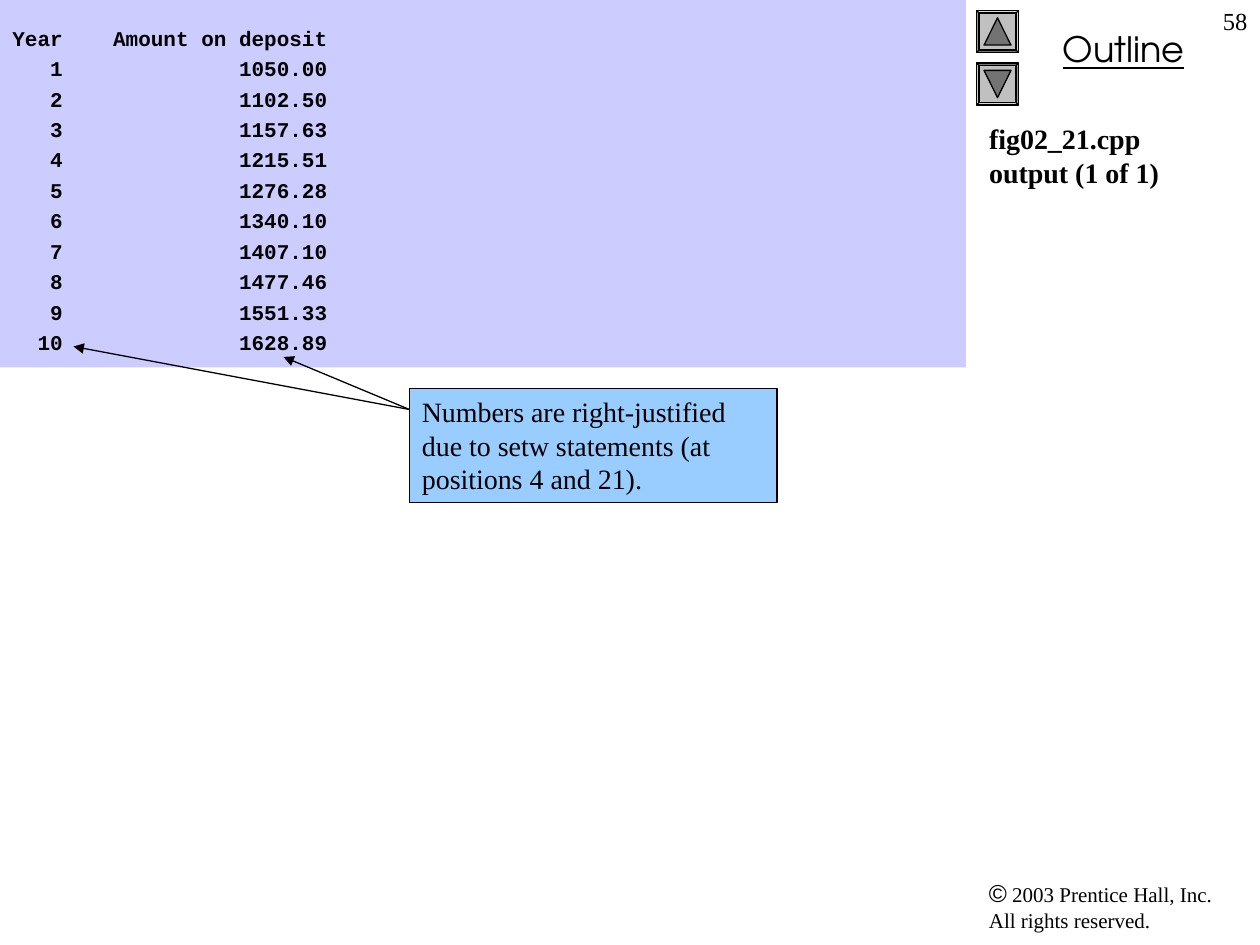
"""Build the program output slide with its outline column."""
from dataclasses import dataclass

from lxml import etree
from pptx import Presentation
from pptx.dml.color import RGBColor
from pptx.enum import shapes, text
from pptx.oxml import ns
from pptx.util import Pt

SERIF = "Times New Roman"
LEFT, CENTER, RIGHT = text.PP_ALIGN.LEFT, text.PP_ALIGN.CENTER, text.PP_ALIGN.RIGHT


@dataclass
class Box:
    x: float
    y: float
    w: float
    h: float

    def lengths(self) -> tuple:
        return Pt(self.x), Pt(self.y), Pt(self.w), Pt(self.h)


@dataclass
class Style:
    size: float
    name: str = SERIF
    bold: bool = False
    underline: bool = False
    align: int = LEFT
    before: float = 0
    inset: float = 3.6


@dataclass
class Button:
    y: float
    bevel_turn: int
    arrow_turn: int


@dataclass
class Point:
    x: float
    y: float


DEPOSITS = ["1050.00", "1102.50", "1157.63", "1215.51", "1276.28",
            "1340.10", "1407.10", "1477.46", "1551.33", "1628.89"]
BUTTONS = [Button(6, 90, 0), Button(36, 270, 180)]
ARROW_START = Point(234, 234)
ARROW_ENDS = [Point(162, 204), Point(42, 198)]


def color(value: str) -> RGBColor:
    return RGBColor.from_string(value)


def set_font(font, style: Style) -> None:
    font.size, font.name = Pt(style.size), style.name
    font.bold, font.underline = style.bold, style.underline
    font.color.rgb = color("000000")


def write(sp, lines: list, style: Style) -> None:
    tf = sp.text_frame
    tf.word_wrap, tf.auto_size = True, text.MSO_AUTO_SIZE.NONE
    tf.vertical_anchor = text.MSO_ANCHOR.TOP
    tf.margin_left = tf.margin_right = Pt(7.2)
    tf.margin_top = tf.margin_bottom = Pt(style.inset)
    tf.text = "\n".join(lines)
    for i, p in enumerate(tf.paragraphs):
        p.alignment, p.line_spacing = style.align, 1.0
        p.space_before = Pt(style.before if i else 0)
        set_font(p.font, style)


def add_text(s, box: Box, line: str, style: Style):
    sp = s.shapes.add_textbox(*box.lengths())
    write(sp, [line], style)
    return sp


def add_shape(s, kind, box: Box, fill: str, line: str = ""):
    sp = s.shapes.add_shape(kind, *box.lengths())
    sp.shadow.inherit = False
    sp.fill.solid()
    sp.fill.fore_color.rgb = color(fill)
    if line:
        sp.line.color.rgb = color(line)
        sp.line.width = Pt(0.75)
    else:
        sp.line.fill.background()
    return sp


def add_button(s, button: Button) -> None:
    kinds = shapes.MSO_SHAPE
    sp = add_shape(s, kinds.BEVEL, Box(558, button.y, 24, 24), "C0C0C0", "000000")
    sp.adjustments[0] = 0.06
    sp.rotation = button.bevel_turn
    sp = add_shape(s, kinds.ISOSCELES_TRIANGLE,
                   Box(562.3, button.y + 4.2, 15.4, 15.6), "737373", "000000")
    sp.rotation = button.arrow_turn


def add_arrow(s, start: Point, end: Point) -> None:
    line = s.shapes.add_connector(shapes.MSO_CONNECTOR.STRAIGHT, Pt(start.x),
                                  Pt(start.y), Pt(end.x), Pt(end.y))
    line.line.color.rgb = color("000000")
    line.line.width = Pt(0.75)
    etree.SubElement(line.line._get_or_add_ln(), ns.qn("a:tailEnd"), type="triangle")
    etree.SubElement(line._element.spPr, ns.qn("a:effectLst"))


def add_copyright(s, box: Box) -> None:
    sp = add_text(s, box, "©", Style(14))
    p = sp.text_frame.paragraphs[0]
    p.runs[0].font.name = "Arial"
    for i, line in enumerate([" 2003 Prentice Hall, Inc.", "All rights reserved."]):
        if i:
            p.add_line_break()
        r = p.add_run()
        r.text = line
        r.font.size = Pt(12)


def main() -> None:
    prs = Presentation()
    prs.slide_width, prs.slide_height = Pt(720), Pt(540)
    s = prs.slides.add_slide(prs.slide_layouts[5])

    title = s.shapes.title
    title.left, title.top, title.width, title.height = Box(558, 66, 162, 378).lengths()
    write(title, ["fig02_21.cpp\voutput (1 of 1)"], Style(16, bold=True))

    add_copyright(s, Box(558, 498, 156, 39))
    add_text(s, Box(564, 12, 156, 32), "Outline",
             Style(20, "TeX Gyre Adventor", underline=True, align=CENTER))
    for button in BUTTONS:
        add_button(s, button)

    rows = [f"{year:>4}{amount:>21}" for year, amount in enumerate(DEPOSITS, 1)]
    output = add_shape(s, shapes.MSO_SHAPE.RECTANGLE, Box(0, 0, 552, 210), "CCCCFF")
    write(output, ["Year    Amount on deposit"] + rows,
          Style(12, "Courier New", bold=True, before=3, inset=14.4))

    note = add_shape(s, shapes.MSO_SHAPE.RECTANGLE, Box(234, 222, 210, 65),
                     "99CCFF", "000000")
    write(note, ["Numbers are right-justified due to setw statements "
                 "(at positions 4 and 21)."], Style(16))
    for end in ARROW_ENDS:
        add_arrow(s, ARROW_START, end)

    add_text(s, Box(684, 0, 36, 36), "58", Style(14, align=RIGHT))
    prs.save("out.pptx")


if __name__ == "__main__":
    main()
